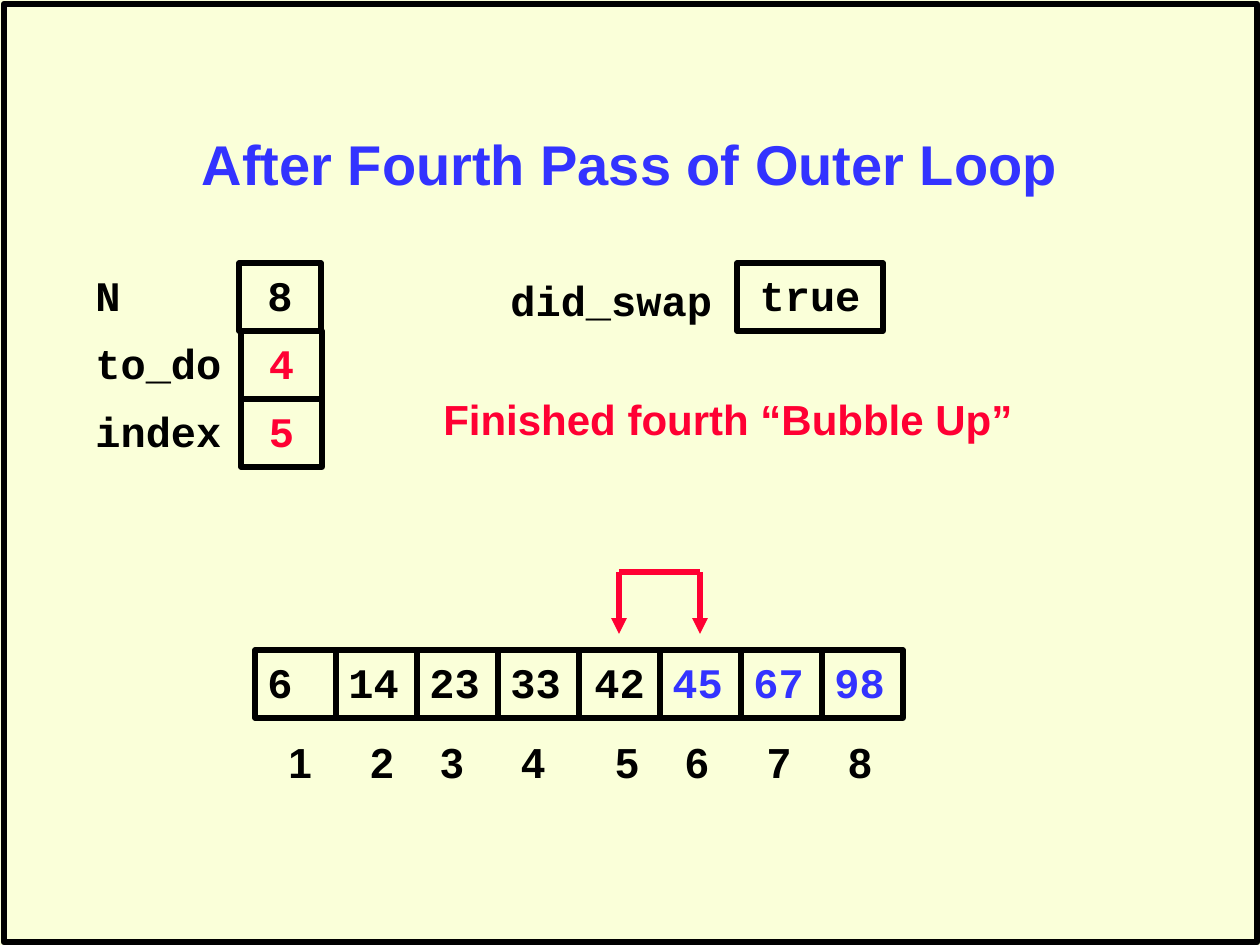
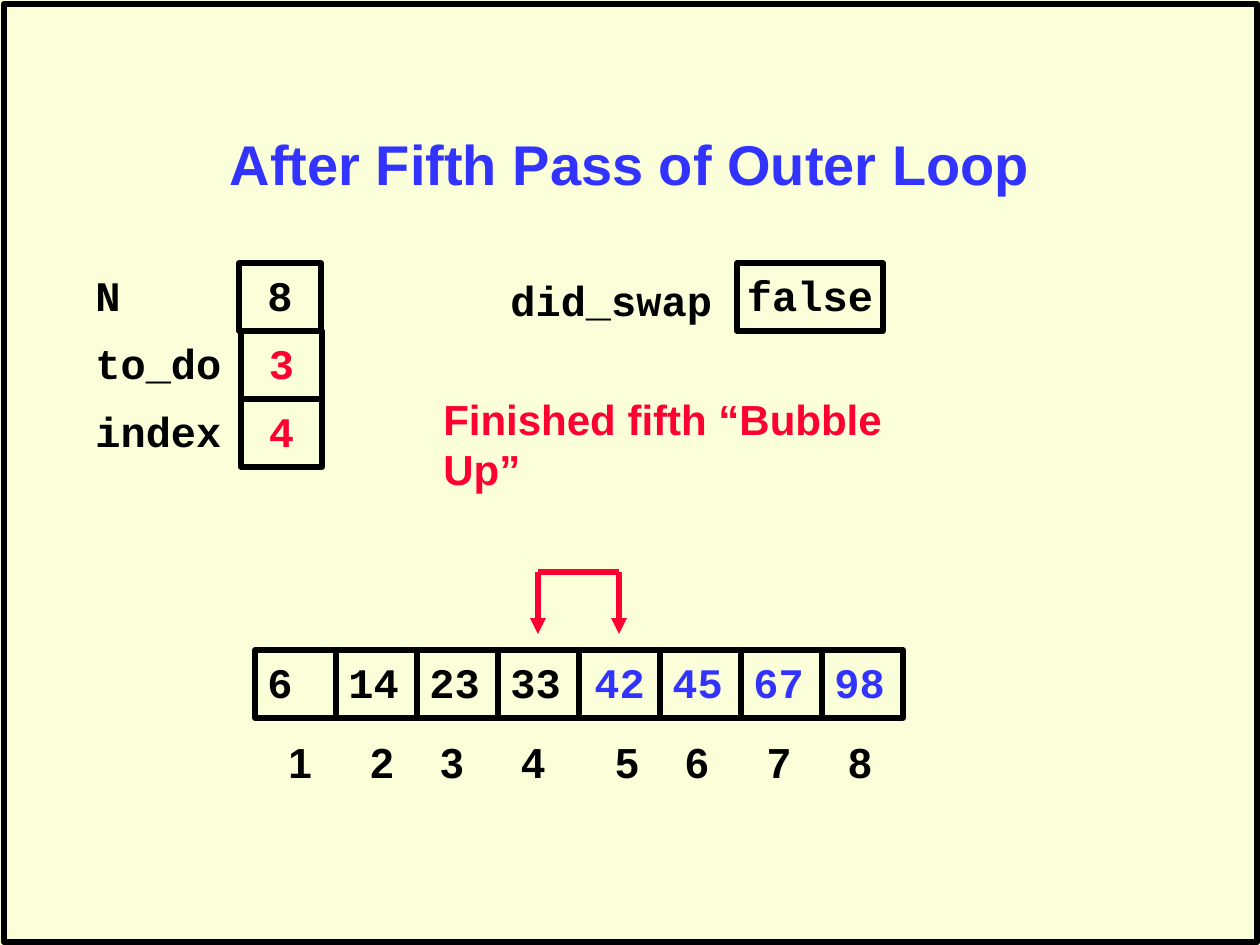
from dataclasses import dataclass

from lxml import etree
from pptx import Presentation
from pptx.dml.color import RGBColor
from pptx.enum.shapes import MSO_CONNECTOR, MSO_SHAPE
from pptx.enum.text import MSO_ANCHOR, MSO_AUTO_SIZE, PP_ALIGN
from pptx.oxml.ns import qn
from pptx.util import Emu, Pt

RECT = MSO_SHAPE.RECTANGLE
STRAIGHT = MSO_CONNECTOR.STRAIGHT
LEFT, CENTER = PP_ALIGN.LEFT, PP_ALIGN.CENTER
TOP, MIDDLE = MSO_ANCHOR.TOP, MSO_ANCHOR.MIDDLE
FIXED, GROW = MSO_AUTO_SIZE.NONE, MSO_AUTO_SIZE.SHAPE_TO_FIT_TEXT

TITLE_ONLY = 5
FRAME_ID = "20"
CELL_W, CELL_H = 81, 68
ARRAY_X, ARRAY_Y = 255, 650
VARS_X, VARS_Y = 83, 263
TEXT_H = 63
INDEX_TABS = (82, 152, 233, 327, 397, 479, 560)

VALUES = (6, 14, 23, 33, 42, 45, 67, 98)
CENTERED_VALUE = 42
PASSES = (
    ("Fourth", 4, 5, "true", 595),
    ("Fifth", 3, 4, "false", 552),
)


def px(n):
    return Emu(round(n * 914400 / 126))


@dataclass(frozen=True)
class Theme:
    background: RGBColor = RGBColor.from_string("FAFFD9")
    ink: RGBColor = RGBColor.from_string("000000")
    blue: RGBColor = RGBColor.from_string("3333FF")
    red: RGBColor = RGBColor.from_string("FF0033")
    sans: str = "Arial"
    mono: str = "Courier New"
    title_size: float = 32
    text_size: float = 24
    line: float = 3
    frame_line: float = 3.75


class Deck:
    def __init__(self, theme):
        self.theme = theme
        self.prs = Presentation()
        self.prs.slide_width, self.prs.slide_height = px(1260), px(945)
        fill = self.prs.slide_master.background.fill
        fill.solid()
        fill.fore_color.rgb = theme.background
        self.slide = None

    def add_slide(self, title):
        layout = self.prs.slide_layouts[TITLE_ONLY]
        self.slide = self.prs.slides.add_slide(layout)
        if len(self.prs.slides) == 1:
            self.frame()
        sp = self.slide.shapes.title
        sp.left, sp.top, sp.width, sp.height = map(px, (95, 84, 1070, 158))
        self.set_text(sp, title, self.theme.blue, self.theme.sans,
                      self.theme.title_size, CENTER, MIDDLE, wrap=True)

    def frame(self):
        sp = self.rect(4, 4, 1253, 938, self.theme.frame_line)
        sp.element.nvSpPr.cNvPr.set("id", FRAME_ID)
        self.prs.slide_master.shapes.element.insert(2, sp.element)

    def rect(self, x, y, w, h, weight):
        sp = self.slide.shapes.add_shape(RECT, *map(px, (x, y, w, h)))
        sp.shadow.inherit = False
        sp.fill.background()
        sp.line.color.rgb = self.theme.ink
        sp.line.width = Pt(weight)
        return sp

    def set_text(self, sp, text, color, font, size, align=LEFT, anchor=TOP,
                 wrap=False, auto_size=FIXED):
        tf = sp.text_frame
        tf.word_wrap = wrap
        tf.auto_size = auto_size
        tf.vertical_anchor = anchor
        p = tf.paragraphs[0]
        p.alignment = align
        r = p.add_run()
        r.text = text
        r.font.name = font
        r.font.size = Pt(size)
        r.font.bold = True
        r.font.color.rgb = color
        return p

    def box(self, x, y, w, text, color, align=CENTER):
        sp = self.rect(x, y, w, CELL_H, self.theme.line)
        self.set_text(sp, text, color, self.theme.mono, self.theme.text_size, align)

    def label(self, x, y, w, text, color, font):
        sp = self.slide.shapes.add_textbox(*map(px, (x, y, w, TEXT_H)))
        return self.set_text(sp, text, color, font, self.theme.text_size,
                             auto_size=GROW)

    def tabbed_label(self, x, y, w, items, tabs):
        p = self.label(x, y, w, "\t".join(items), self.theme.ink, self.theme.sans)
        p_pr = p.runs[0].font._element.getparent().getparent().get_or_add_pPr()
        tab_list = etree.SubElement(p_pr, qn("a:tabLst"))
        for tab in tabs:
            etree.SubElement(tab_list, qn("a:tab"), pos=str(px(tab)), algn="l")

    def line(self, shapes, x1, y1, x2, y2, arrow=False):
        cxn = shapes.add_connector(STRAIGHT, *map(px, (x1, y1, x2, y2)))
        cxn.line.color.rgb = self.theme.red
        cxn.line.width = Pt(self.theme.line)
        sp_pr = cxn.element.spPr
        if arrow:
            etree.SubElement(sp_pr.find(qn("a:ln")), qn("a:headEnd"),
                             type="triangle")
        etree.SubElement(sp_pr, qn("a:effectLst"))

    def bracket(self, x1, x2, top, bottom):
        shapes = self.slide.shapes.add_group_shape().shapes
        for x in (x1, x2):
            self.line(shapes, x, bottom, x, top, arrow=True)
        self.line(shapes, x1, top, x2, top)


def add_variables(deck, to_do, index, did_swap):
    t = deck.theme
    rows = (
        ("N", len(VALUES), t.ink, 239, 82),
        ("to_do", to_do, t.red, 241, CELL_W),
        ("index", index, t.red, 241, CELL_W),
    )
    for row, (name, value, color, x, w) in enumerate(rows):
        y = VARS_Y + row * CELL_H
        deck.label(VARS_X, y, 151, name, t.ink, t.mono)
        deck.box(x, y, w, str(value), color)
    deck.label(498, 268, 328, "did_swap", t.ink, t.mono)
    deck.box(737, VARS_Y, 146, did_swap, t.ink)


def add_array(deck, index):
    t = deck.theme
    for i, value in enumerate(VALUES):
        color = t.blue if i >= index else t.ink
        align = CENTER if value == CENTERED_VALUE else LEFT
        deck.box(ARRAY_X + i * CELL_W, ARRAY_Y, CELL_W, str(value), color, align)
    numbers = [str(i + 1) for i in range(len(VALUES))]
    deck.tabbed_label(276, 730, 609, numbers, INDEX_TABS)
    x = ARRAY_X + (index - 1) * CELL_W + CELL_W // 2
    deck.bracket(x, x + CELL_W, 572, 634)


def main():
    deck = Deck(Theme())
    for ordinal, to_do, index, did_swap, message_w in PASSES:
        deck.add_slide(f"After {ordinal} Pass of Outer Loop")
        add_variables(deck, to_do, index, did_swap)
        deck.label(431, 387, message_w, f"Finished {ordinal.lower()} “Bubble Up”",
                   deck.theme.red, deck.theme.sans)
        add_array(deck, index)
    deck.prs.save("out.pptx")


if __name__ == "__main__":
    main()
